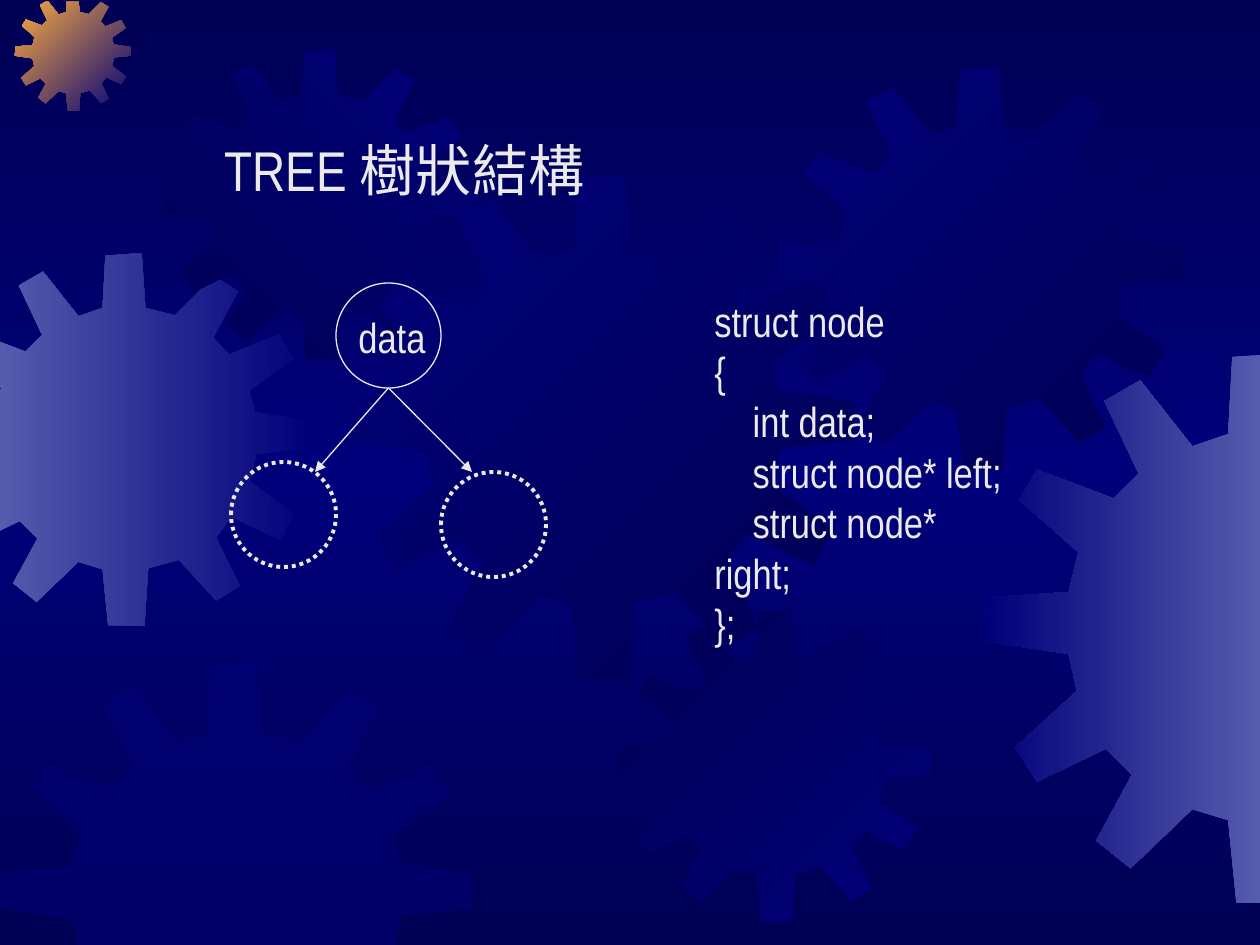
import copy
import pptx
import pptx.util
import pptx.dml.color
import pptx.enum.dml
import pptx.enum.shapes
import pptx.enum.text
import pptx.oxml
import pptx.oxml.ns

# --- Content (lengths in px) ---
WIDTH, HEIGHT = 1260, 945
EMU_PER_PX = 914400 / 126
TITLE = ("TREE 樹狀結構", (212, 129, 398, 81))
DATA_LABEL = ("data", (346, 305, 94, 63))
STRUCT_BOX = (702, 289, 333, 315)
STRUCT_LINES = [
    "struct node",
    "{",
    "    int data;",
    "    struct node* left;",
    "    struct node* right;",
    "};",
]
NODE_SIZE = 105
PARENT = (336, 283)
CHILDREN = [  # node corner, arrow end
    ((231, 462), (315, 472)),
    ((441, 472), (472, 472)),
]
THEME = {
    "font": "Arial Narrow", "title_pt": 32, "body_pt": 24,
    "ink": "EAEAEA", "navy": "000054", "blue": "00007A",
    "lilac": "555BAD", "orange": "FCAB40",
    "thin": 0.75, "thick": 2.25,
}

# Twelve-toothed gear outline on a 401-unit square
GEAR_UNITS = 401
GEAR = [
    (255, 67), (223, 59), (219, 0), (180, 3), (177, 59), (151, 68), (113, 20), (87, 35),
    (112, 88), (94, 106), (38, 85), (25, 107), (68, 145), (61, 174), (1, 178), (0, 210),
    (61, 219), (67, 246), (22, 287), (38, 312), (88, 288), (107, 307), (81, 355), (106, 375),
    (151, 332), (177, 340), (183, 400), (222, 401), (226, 339), (259, 330), (299, 374), (325, 358),
    (299, 306), (316, 284), (368, 309), (384, 281), (336, 246), (342, 216), (401, 210), (400, 180),
    (341, 171), (335, 148), (383, 114), (367, 87), (313, 109), (296, 91), (323, 41), (297, 25),
]
GEARS = [  # left, top, size, first colour, last colour, clockwise angle (None = half-clear)
    (-62, 253, 373, "blue", "lilac", 180),
    (15, -5, 116, "blue", "orange", 225),
    (164, 49, 312, "blue", "navy", 135),
    (349, 175, 506, "navy", "blue", 225),
    (0, 662, 471, "blue", "blue", None),
    (619, 610, 312, "blue", "navy", 225),
    (779, 67, 403, "navy", "blue", 225),
    (985, 353, 551, "lilac", "blue", 180),
]
EDGES = [(0, 0, 1), (0, WIDTH, -1), (1, 2, 1), (1, HEIGHT, -1)]  # axis, limit, inward side


def emu(px):
    return round(px * EMU_PER_PX)


def box(px):
    return [emu(v) for v in px]


def rgb(name):
    return pptx.dml.color.RGBColor.from_string(THEME[name])


def gradient(fill, first, last, angle):
    fill.gradient()
    fill.gradient_angle = (360 - angle) % 360
    for stop, name, pos in zip(fill.gradient_stops, (first, last), (0, 1)):
        stop.color.rgb = rgb(name)
        stop.position = pos


def clip(points, axis, limit, side):
    """Keep the part of a polygon on the inner side of one slide edge."""
    kept = []
    for a, b in zip(points, points[1:] + points[:1]):
        da, db = (side * (pt[axis] - limit) for pt in (a, b))
        if da >= 0:
            kept.append(a)
        if da * db < 0:
            t = da / (da - db)
            kept.append(tuple(u + t * (v - u) for u, v in zip(a, b)))
    return kept


def add_gear(shapes, left, top, size, first, last, angle):
    k = size / GEAR_UNITS
    points = [(left + x * k, top + y * k) for x, y in GEAR]
    for edge in EDGES:
        points = clip(points, *edge)
    points = [tuple(box(pt)) for pt in points]
    builder = shapes.build_freeform(*points[0], scale=1.0)
    builder.add_line_segments(points[1:], close=True)
    s = builder.convert_to_shape()
    s.shadow.inherit = False
    s.line.fill.background()
    if angle is None:
        s.fill.solid()
        s.fill.fore_color.rgb = rgb(first)
        color = s._element.spPr.xpath("./a:solidFill/a:srgbClr")[0]
        color.append(pptx.oxml.parse_xml(
            '<a:alpha %s val="50000"/>' % pptx.oxml.ns.nsdecls("a")))
    else:
        gradient(s.fill, first, last, angle)


def write(s, lines, size, wrap):
    tf = s.text_frame
    tf.word_wrap = wrap
    tf.auto_size = pptx.enum.text.MSO_AUTO_SIZE.SHAPE_TO_FIT_TEXT
    tf.vertical_anchor = pptx.enum.text.MSO_ANCHOR.TOP
    for i, line in enumerate(lines):
        p = tf.add_paragraph() if i else tf.paragraphs[0]
        p.alignment = pptx.enum.text.PP_ALIGN.LEFT
        r = p.add_run()
        r.text = line
        r.font.name = THEME["font"]
        r.font.size = pptx.util.Pt(THEME[size])
        r.font.color.rgb = rgb("ink")


def ink_line(s, width):
    s.line.color.rgb = rgb("ink")
    s.line.width = pptx.util.Pt(THEME[width])


def add_node(shapes, corner, width):
    s = shapes.add_shape(pptx.enum.shapes.MSO_SHAPE.OVAL,
                         *box((*corner, NODE_SIZE, NODE_SIZE)))
    s.shadow.inherit = False
    s.fill.background()
    ink_line(s, width)
    return s


def add_arrow(shapes, start, end):
    s = shapes.add_connector(pptx.enum.shapes.MSO_CONNECTOR.STRAIGHT, *box((*start, *end)))
    ink_line(s, "thin")
    ns = pptx.oxml.ns.nsdecls("a")
    s.line._get_or_add_ln().append(pptx.oxml.parse_xml('<a:tailEnd %s type="triangle"/>' % ns))
    s._element.spPr.append(pptx.oxml.parse_xml("<a:effectLst %s/>" % ns))


def main():
    prs = pptx.Presentation()
    prs.slide_width, prs.slide_height = emu(WIDTH), emu(HEIGHT)
    slide = prs.slides.add_slide(prs.slide_layouts[5])
    shapes = slide.shapes

    # Background: dark, lighter in the middle, dark
    gradient(slide.background.fill, "navy", "navy", 90)
    stops = slide._element.xpath(".//p:bgPr/a:gradFill/a:gsLst")[0]
    middle = copy.deepcopy(stops[0])
    middle.set("pos", "50000")
    middle[0].set("val", THEME["blue"])
    stops.insert(1, middle)

    for gear in GEARS:
        add_gear(shapes, *gear)

    # Title, brought in front of the gears
    title = shapes.title
    text, place = TITLE
    title.left, title.top, title.width, title.height = box(place)
    write(title, [text], "title_pt", False)
    shapes._spTree.append(title._element)

    # Tree diagram
    add_node(shapes, PARENT, "thin")
    text, place = DATA_LABEL
    write(shapes.add_textbox(*box(place)), [text], "body_pt", True)
    root = (PARENT[0] + NODE_SIZE / 2, PARENT[1] + NODE_SIZE)
    for corner, tip in CHILDREN:
        add_arrow(shapes, root, tip)
        child = add_node(shapes, corner, "thick")
        child.line.dash_style = pptx.enum.dml.MSO_LINE.ROUND_DOT

    # Node declaration
    write(shapes.add_textbox(*box(STRUCT_BOX)), STRUCT_LINES, "body_pt", False)

    prs.save("out.pptx")


if __name__ == "__main__":
    main()
